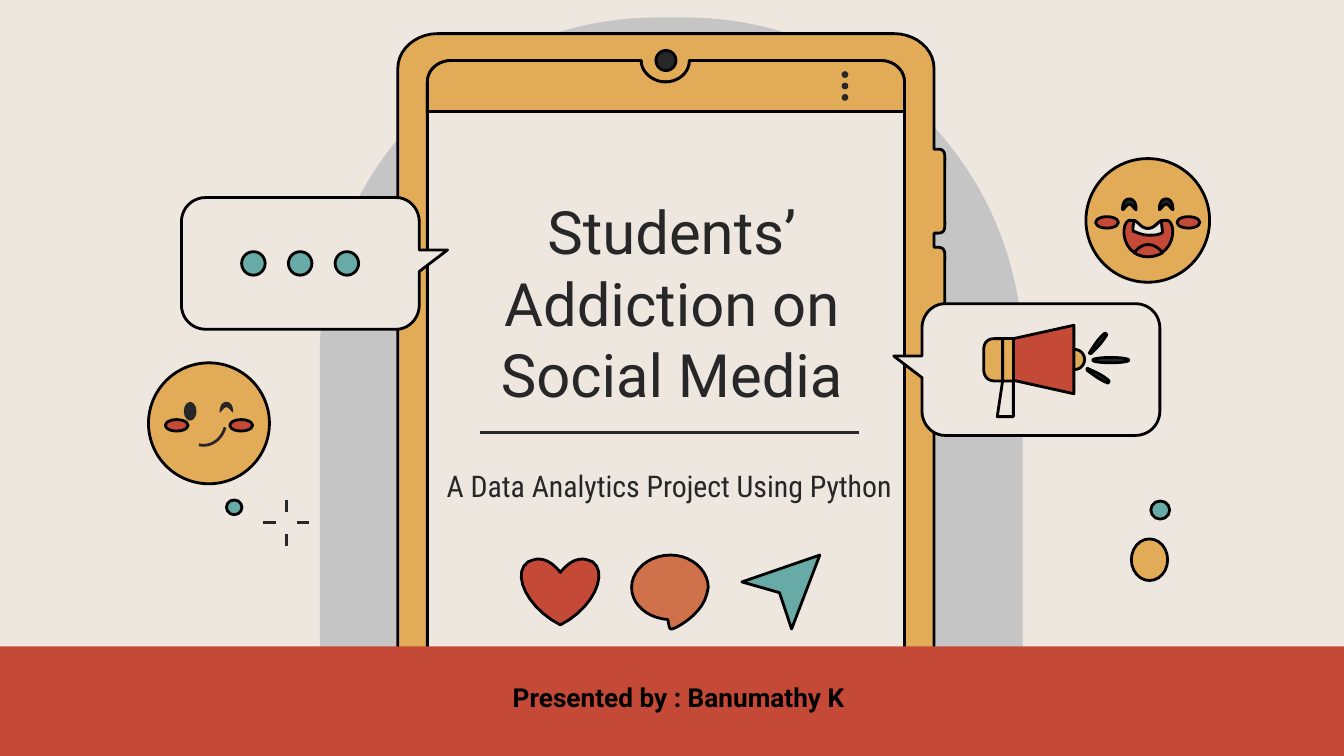
from lxml import etree
from pptx import Presentation
from pptx import util as u
from pptx.dml.color import RGBColor
from pptx.enum import shapes, text
from pptx.oxml.ns import qn

CREAM = RGBColor(0xED, 0xE7, 0xE0)
GRAY = RGBColor(0xC5, 0xC5, 0xC5)
GOLD = RGBColor(0xE2, 0xAB, 0x58)
RED = RGBColor(0xC4, 0x49, 0x37)
RUST = RGBColor(0xCF, 0x72, 0x4B)
TEAL = RGBColor(0x68, 0xAA, 0xA6)
INK = RGBColor(0x27, 0x27, 0x27)
BLACK = RGBColor(0, 0, 0)
SHAPE = shapes.MSO_SHAPE


def trace(path, steps=10):
    """Turn a path of L points and C curves into a list of points."""
    marks, kind, dots = iter(path.split()), "L", []

    def pair(mark):
        return tuple(float(n) for n in mark.split(","))

    for mark in marks:
        if mark in ("L", "C"):
            kind = mark
        elif kind == "L":
            dots.append(pair(mark))
        else:
            a, b, c, d = dots[-1], pair(mark), pair(next(marks)), pair(next(marks))
            for i in range(1, steps + 1):
                t = i / steps
                s = 1 - t
                dots.append(tuple(s**3 * a[k] + 3 * s * s * t * b[k]
                                  + 3 * s * t * t * c[k] + t**3 * d[k]
                                  for k in (0, 1)))
    return dots


class Board:
    """Style and current slide; the grid has 100 columns of square cells."""

    def __init__(self, deck):
        self.cell = deck.slide_width / 100
        self.slide = deck.slides.add_slide(deck.slide_layouts[6])
        self.items = self.slide.shapes
        fill = self.slide.background.fill
        fill.solid()
        fill.fore_color.rgb = CREAM

    def grid(self, *cells):
        return [round(c * self.cell) for c in cells]

    def paint(self, item, fill, line):
        item.shadow.inherit = False
        if fill is None:
            item.fill.background()
        else:
            item.fill.solid()
            item.fill.fore_color.rgb = fill
        if line is None:
            item.line.fill.background()
        else:
            item.line.color.rgb = line
            item.line.width = u.Pt(1.5)
        return item

    def shape(self, kind, x, y, w, h, fill, line=None):
        return self.paint(self.items.add_shape(kind, *self.grid(x, y, w, h)), fill, line)

    def oval(self, x, y, w, h, fill, line=BLACK):
        """Ellipse set by its centre."""
        return self.shape(SHAPE.OVAL, x - w / 2, y - h / 2, w, h, fill, line)

    def free(self, path, fill, line=BLACK, at=(0, 0), flip=1, close=True):
        dots = [self.grid(at[0] + flip * x, at[1] + y) for x, y in trace(path)]
        pen = self.items.build_freeform(*dots[0], scale=1.0)
        pen.add_line_segments(dots[1:], close=close)
        return self.paint(pen.convert_to_shape(), fill, line)

    def line(self, *ends):
        rule = self.items.add_connector(shapes.MSO_CONNECTOR.STRAIGHT, *self.grid(*ends))
        rule.line.color.rgb = INK
        rule.line.width = u.Pt(1.35)
        etree.SubElement(rule._element.spPr, qn("a:effectLst"))

    def text(self, words, x, y, w, h, size=14, font="Roboto", color=INK,
             bold=False, left=0, hang=0, anchor=text.MSO_ANCHOR.MIDDLE):
        frame = self.items.add_textbox(*self.grid(x, y, w, h)).text_frame
        frame.word_wrap = True
        frame.vertical_anchor = anchor
        frame.margin_left = frame.margin_right = u.Inches(0.1)
        para = frame.paragraphs[0]
        para.alignment = text.PP_ALIGN.CENTER
        if left:
            prop = para._p.get_or_add_pPr()
            prop.set("marL", str(u.Inches(left)))
            prop.set("indent", str(u.Inches(hang)))
        run = para.add_run()
        run.text = words
        run.font.size, run.font.name, run.font.bold = u.Pt(size), font, bold
        run.font.color.rgb = color


# Outlines used more than once
NOTCH = "L 65.5,4.5 51.3,4.5 C 51.3,5.4 50.5,6.1 49.5,6.1 C 48.6,6.1 47.7,5.4 47.7,4.5"
CORNER = "C 67.3,5.2 66.5,4.5 65.5,4.5"
BUBBLE = ("1.8,0 C .8,0 0,.8 0,1.8 L 0,8 C 0,9 .8,9.8 1.8,9.8 L 16,9.8 "
          "C 16.9,9.8 17.7,9 17.7,8 L 17.7,5.5 19.8,3.9 17.7,3.9 17.7,1.8 "
          "C 17.7,.8 16.9,0 16,0")
EYE = ("0,0 C -.3,0 -.5,.3 -.5,.7 L -.5,.8 C -.4,.8 -.2,.4 0,.4 "
       "C .2,.4 .4,.8 .5,.8 L .5,.7 C .5,.3 .3,0 0,0")
RAY = "1.2,0 C .8,.3 .4,.9 .1,1.4 C 0,1.5 .1,1.5 .2,1.5 C .6,1.1 1,.7 1.3,.2 C 1.4,.1 1.3,0 1.2,0"


def key(top):
    """Side key of the phone, traced upwards."""
    low = top + 6.25
    return (f"L 69.5,{low} 69.8,{low} C 70.4,{low} 70.3,{low - .5} 70.3,{low - 1.1} "
            f"L 70.3,{top + 1.1} C 70.3,{top + .5} 70.4,{top} 69.8,{top} L 69.5,{top} ")


def phone(b):
    b.free("32.6,2.5 C 30.9,2.5 29.6,3.7 29.6,5.1 L 29.6,64.4 "
           "C 29.6,65.8 30.9,67 32.6,67 L 66.5,67 C 68.1,67 69.5,65.8 69.5,64.4 "
           + key(18.4) + key(11.1) + "L 69.5,5.1 C 69.5,3.6 68.1,2.5 66.5,2.5", GOLD)
    b.oval(49.55, 4.5, 1.5, 1.5, INK)
    b.free("33.6,4.5 C 32.6,4.5 31.8,5.2 31.8,6.1 L 31.8,63.4 "
           "C 31.8,64.2 32.6,64.9 33.6,64.9 L 65.5,64.9 "
           f"C 66.5,64.9 67.3,64.2 67.3,63.4 L 67.3,6.1 {CORNER} {NOTCH}", CREAM)
    b.free("33.6,4.5 C 32.6,4.5 31.8,5.2 31.8,6.1 L 31.8,8.3 67.3,8.3 67.3,6.1 "
           f"{CORNER} {NOTCH}", GOLD)
    for i in range(3):
        b.oval(62.87, 5.55 + .85 * i, .5, .5, INK, None)


def icons(b):
    # Heart, comment and send arrow
    b.free("43.3,41.6 C 42.4,41.6 41.7,42.6 41.7,42.6 C 41.7,42.6 41,41.6 40.1,41.6 "
           "C 39.8,41.6 39.6,41.7 39.3,41.8 C 38,42.7 39.3,45.3 41.7,46.5 "
           "C 44.1,45.3 45.3,42.7 44.1,41.8 C 43.8,41.7 43.6,41.6 43.3,41.6", RED)
    b.free("49.9,41.3 C 48.3,41.3 47,42.4 47,43.7 C 47,45 48.2,46 49.7,46.1 "
           "C 49.8,46.7 49.8,46.7 49.9,46.8 L 50,46.8 C 50.2,46.8 52.2,45.8 52.6,44.2 "
           "L 52.7,43.7 C 52.7,42.4 51.4,41.3 49.9,41.3", RUST)
    b.free("61,41.3 55.2,43.3 58,44.1 58.9,46.8", TEAL)


def horn(b):
    b.oval(79.95, 26.75, 1.5, 1.5, GOLD)
    b.free("79.9,24.2 75.4,25.2 75.4,28.3 79.9,29.3", RED)
    b.shape(SHAPE.RECTANGLE, 74.6, 25.2, .8, 3.15, GOLD, BLACK)
    b.free("74,25.2 C 73.5,25.2 73.2,25.5 73.2,26 L 73.2,27.5 "
           "C 73.2,28 73.5,28.35 74,28.35 L 74.6,28.35 74.6,25.2", GOLD)
    b.free("74.6,28.35 74.2,31 75.4,31 75.4,28.35", CREAM)
    b.free(RAY, INK, at=(81, 24.8))
    b.free(RAY, INK, at=(81, 27.2)).rotation = 82
    b.oval(82.65, 26.8, 2.7, .4, INK)


def laugh(b, x=85.4, y=16.4):
    b.oval(x, y, 9.2, 9.2, GOLD)
    for side in (-1, 1):
        b.free(EYE, INK, at=(x + 1.37 * side, y - 1.6))
        b.oval(x + 3.03 * side, y + .15, 1.7, .85, RED)
    b.free("-1.2,0 L -1.4,0 C -2.1,.3 -1.9,2.7 0,2.7 C 2,2.7 2.2,.3 1.5,0 "
           "C 1.4,0 1.3,0 1.2,0 C .7,0 .6,.6 0,.6 C -.6,.6 -.7,0 -1.2,0", RED, at=(x, y))
    b.free("-1,0 C -1.1,.3 -1.1,.7 -1.1,.8 C -1,.8 -.5,1.1 .1,1.1 C .4,1.1 .8,1.1 1.1,.9 "
           "L 1,0 C .7,.2 .5,.6 0,.6 C -.5,.6 -.7,.1 -1,0", CREAM, at=(x, y))
    b.free("0,1.8 C -.4,1.8 -.8,2.1 -1,2.4 C -.7,2.6 -.4,2.7 0,2.7 "
           "C .4,2.7 .8,2.6 1.1,2.4 C .7,1.9 .3,1.8 0,1.8", RED, at=(x, y))


def wink(b, x=15.55, y=31.5):
    b.oval(x, y, 9, 9, GOLD)
    b.oval(x - 1.4, y - .9, .95, 1.4, INK, None)
    b.free(EYE, INK, None, at=(x + 1.3, y - 1.6))
    for side in (-1, 1):
        b.oval(x + 2.4 * side, y + .15, 1.7, .85, RED)
    b.free("1.2,.3 C .95,1.2 .15,1.8 -.75,1.6", None, INK, at=(x, y), close=False)


def main():
    deck = Presentation()
    deck.slide_width, deck.slide_height = u.Inches(10), u.Inches(5.625)
    b = Board(deck)

    # Arch, phone and bottom band
    arch = b.shape(SHAPE.ROUND_2_SAME_RECTANGLE, 23.8, 1.3, 52.3, 54.9, GRAY)
    arch.adjustments[0], arch.adjustments[1] = .48, 0
    phone(b)
    icons(b)
    b.line(35.7, 32.2, 63.9, 32.2)
    b.shape(SHAPE.RECTANGLE, 0, 48.1, 100, 8.15, RED)

    # Title and subtitle
    b.text("A Data Analytics Project Using Python", 24.9, 33.1, 48.3, 6,
           size=16, font="Roboto Condensed", left=.5, hang=-.35)
    b.text("Students’ Addiction on Social Media", 34.2, 13.6, 31.6, 17.8, size=32)

    # Spark
    x, y, near, far = 21.3, 38.9, .8, 1.7
    for dx, dy in ((0, 1), (0, -1), (-1, 0), (1, 0)):
        b.line(x + near * dx, y + near * dy, x + far * dx, y + far * dy)

    # Speech bubbles
    b.free(BUBBLE, CREAM, at=(13.5, 14.7))
    for i in range(3):
        b.oval(18.85 + 3.48 * i, 19.6, 1.75, 1.75, TEAL)
    b.free(BUBBLE, CREAM, at=(86.3, 22.6), flip=-1)
    horn(b)

    # Faces and loose dots
    laugh(b)
    wink(b)
    b.oval(17.43, 37.75, 1.15, 1.1, TEAL)
    b.oval(85.53, 41.65, 2.7, 3.1, GOLD)
    b.oval(86.33, 37.95, 1.4, 1.35, TEAL)

    # Presenter
    b.text("Presented by : Banumathy K", 29.3, 50.2, 42.4, 3.4,
           color=BLACK, bold=True, anchor=text.MSO_ANCHOR.TOP)
    deck.save("out.pptx")


if __name__ == "__main__":
    main()
